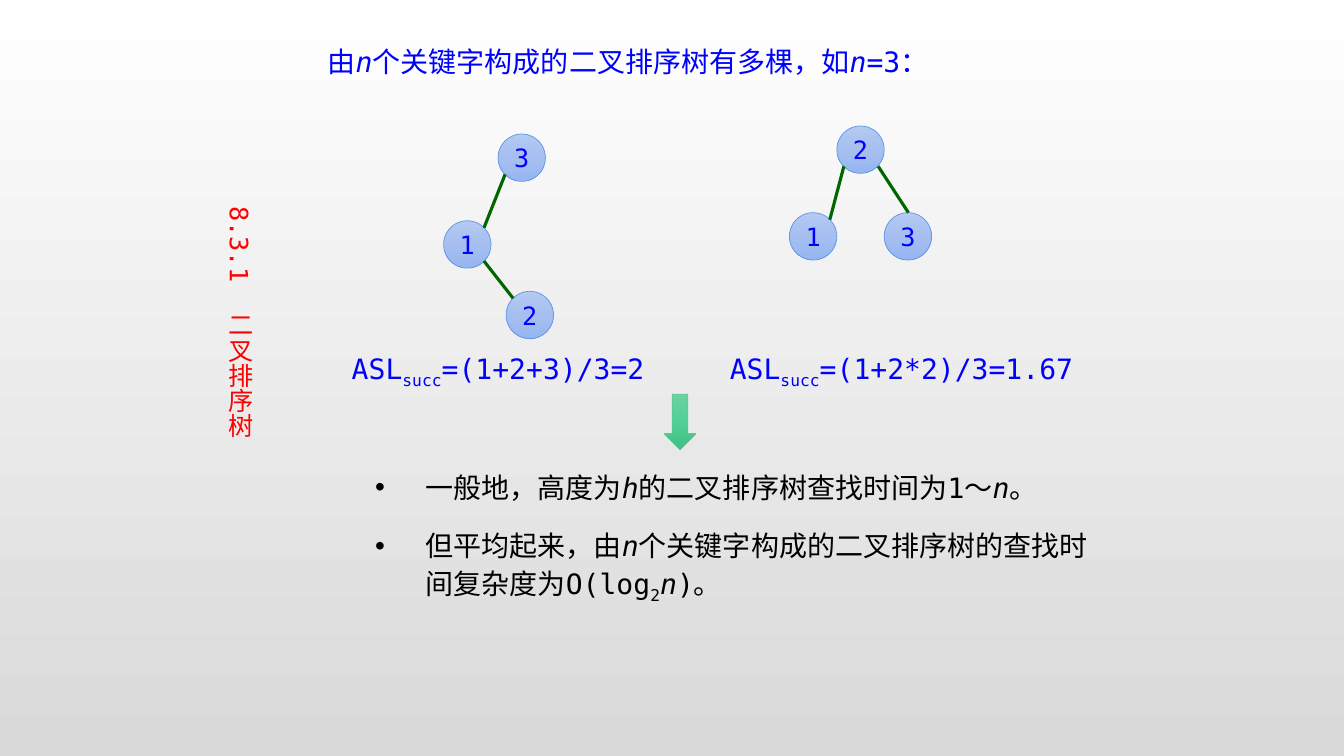
"""Build the slide on binary search trees formed from n keys."""
from copy import deepcopy

from pptx import Presentation
from pptx.dml.color import RGBColor
from pptx.enum.shapes import MSO_CONNECTOR, MSO_SHAPE
from pptx.enum.text import MSO_ANCHOR, MSO_AUTO_SIZE, PP_ALIGN
from pptx.oxml.ns import qn
from pptx.util import Inches, Pt

FONT = "DejaVu Sans Mono"
COLORS = {
    "text": "0000FF", "body": "000000", "section": "FF0000", "edge": "006600",
    "node_line": "6096E6", "arrow_line": "56CA95",
}
GRADIENTS = {
    "background": ["FFFFFF", "D9D9D9"],
    "node": ["B4CAF3", "A6BFF0", "96B6F1"],
    "arrow": ["6DD1A1", "50D096", "41BF85"],
}


def paint(fill, name, element):
    """Fill with evenly spaced colours running from top to bottom."""
    fill.gradient()
    fill.gradient_angle = 270
    colors = GRADIENTS[name]
    stop_list = next(element.iter(qn("a:gsLst")))
    while len(stop_list) < len(colors):
        stop_list.append(deepcopy(stop_list[-1]))
    for i, (stop, color) in enumerate(zip(fill.gradient_stops, colors)):
        stop.position = i / (len(colors) - 1)
        stop.color.rgb = RGBColor.from_string(color)


def write(p, parts, size, color, align=PP_ALIGN.LEFT):
    """Write (text, style) runs, where style is "", "i" or "sub"."""
    p.alignment = align
    p.font.name = FONT
    p.font.size = Pt(size)
    p.font.color.rgb = RGBColor.from_string(COLORS[color])
    for text, style in parts:
        r = p.add_run()
        r.text = text
        if style == "i":
            r.font.italic = True
        elif style == "sub":
            r.font._element.set("baseline", "-25000")


prs = Presentation()
prs.slide_width, prs.slide_height = Inches(13.33), Inches(7.5)
s = prs.slides.add_slide(prs.slide_layouts[1])
paint(s.background.fill, "background", s._element)

title, body = s.shapes.title, s.placeholders[1]
for sp, box in [(title, (3.15, 0.39, 6.56, 0.44)), (body, (3.62, 4.53, 7.34, 1.53))]:
    sp.left, sp.top, sp.width, sp.height = map(Inches, box)
    sp.text_frame.auto_size = MSO_AUTO_SIZE.NONE
    sp.text_frame.vertical_anchor = MSO_ANCHOR.TOP
write(title.text_frame.paragraphs[0], [
    ("由", ""), ("n", "i"), ("个关键字构成的二叉排序树有多棵，如", ""),
    ("n", "i"), ("=3：", ""),
], 20, "text")

NODE = 0.47
nodes = [
    ("3", 4.94, 1.33), ("1", 4.4, 2.19), ("2", 5.02, 2.89),
    ("3", 8.77, 2.11), ("1", 7.83, 2.11), ("2", 8.3, 1.25),
]
for key, x, y in nodes:
    sp = s.shapes.add_shape(MSO_SHAPE.OVAL, Inches(x), Inches(y), Inches(NODE), Inches(NODE))
    sp.shadow.inherit = False
    paint(sp.fill, "node", sp._element)
    sp.line.color.rgb = RGBColor.from_string(COLORS["node_line"])
    sp.line.width = Pt(0.5)
    tf = sp.text_frame
    tf.margin_left = tf.margin_right = 0
    tf.vertical_anchor = MSO_ANCHOR.MIDDLE
    write(tf.paragraphs[0], [(key, "")], 18, "text", PP_ALIGN.CENTER)

edges = [
    (5.01, 1.73, 4.8, 2.26), (4.8, 2.59, 5.09, 2.96),
    (8.37, 1.65, 8.23, 2.18), (8.71, 1.65, 9.01, 2.11),
]
for ends in edges:
    edge = s.shapes.add_connector(MSO_CONNECTOR.STRAIGHT, *map(Inches, ends))
    edge.line.color.rgb = RGBColor.from_string(COLORS["edge"])
    edge.line.width = Pt(2.25)
    edge._element.spPr.append(edge._element.makeelement(qn("a:effectLst")))

for x, width, formula in [(3.39, 3.28, "=(1+2+3)/3=2"), (7.14, 3.67, "=(1+2*2)/3=1.67")]:
    sp = s.shapes.add_textbox(Inches(x), Inches(3.44), Inches(width), Inches(0.44))
    sp.text_frame.word_wrap = True
    write(sp.text_frame.paragraphs[0],
          [("ASL", ""), ("succ", "sub"), (formula, "")], 20, "text")

points = [
    [("一般地，高度为", ""), ("h", "i"), ("的二叉排序树查找时间为1～", ""),
     ("n", "i"), ("。", "")],
    [("但平均起来，由", ""), ("n", "i"),
     ("个关键字构成的二叉排序树的查找时间复杂度为O(log", ""),
     ("2", "sub"), ("n", "i"), (")。", "")],
]
tf = body.text_frame
for i, parts in enumerate(points):
    p = tf.add_paragraph() if i else tf.paragraphs[0]
    write(p, parts, 20, "body")
    p.line_spacing = Pt(30)
    p.space_before = Pt(12)
    pPr = p._p.get_or_add_pPr()
    pPr.set("marL", str(Inches(0.5)))
    pPr.set("indent", str(-Inches(0.5)))

arrow = s.shapes.add_shape(MSO_SHAPE.DOWN_ARROW, Inches(6.59), Inches(3.91), Inches(0.31), Inches(0.55))
arrow.shadow.inherit = False
paint(arrow.fill, "arrow", arrow._element)
arrow.line.color.rgb = RGBColor.from_string(COLORS["arrow_line"])
arrow.line.width = Pt(0.5)

section = s.shapes.add_textbox(Inches(2.08), Inches(1.95), Inches(0.5), Inches(3.44))
tf = section.text_frame
tf.word_wrap = True
tf.auto_size = MSO_AUTO_SIZE.SHAPE_TO_FIT_TEXT
tf._txBody.bodyPr.set("vert", "eaVert")
write(tf.paragraphs[0], [("8.3.1  二叉排序树", "")], 18, "section", PP_ALIGN.CENTER)

prs.save("out.pptx")
